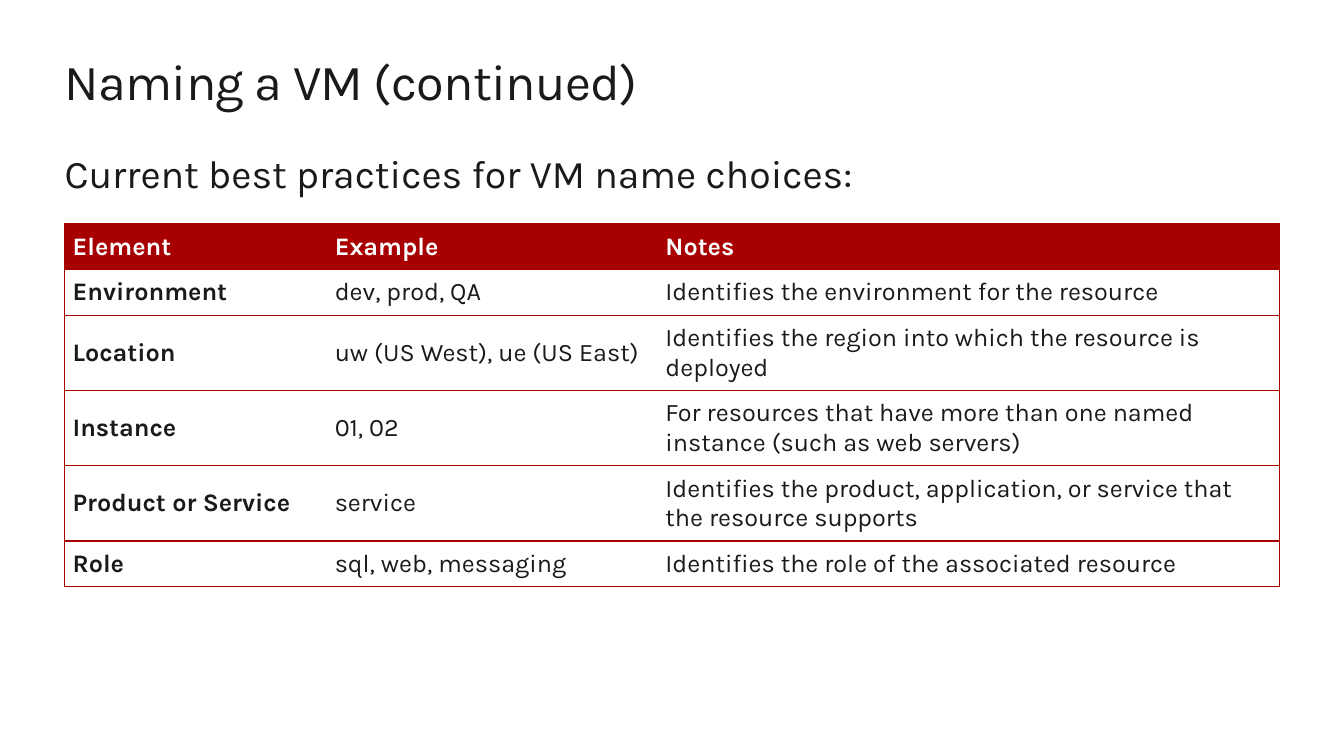
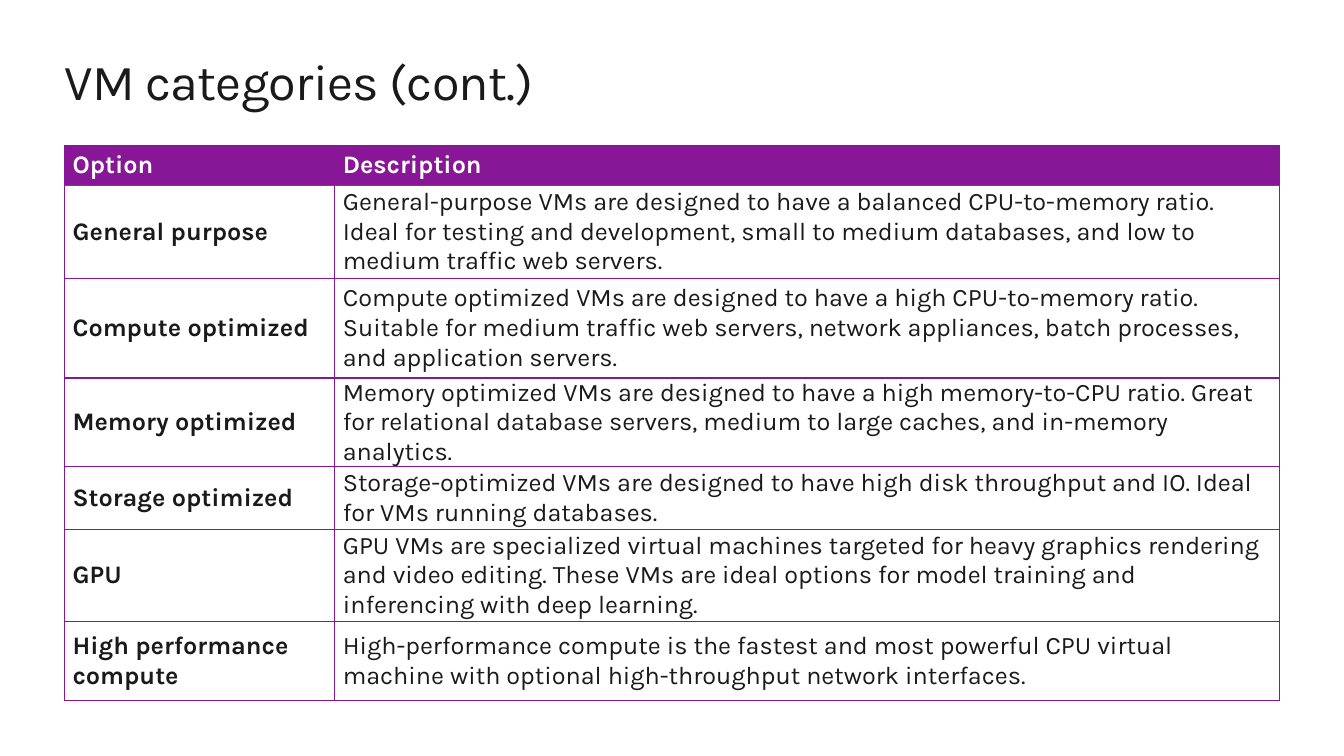
from lxml.etree import SubElement
from pptx import Presentation
from pptx.dml.color import RGBColor
from pptx.enum.text import MSO_ANCHOR, MSO_AUTO_SIZE, PP_ALIGN
from pptx.oxml.ns import qn
from pptx.util import Inches, Pt

FONT = "Karla"
INK = "1A1A1A"
WHITE = "FFFFFF"
RED = "A80000"
PURPLE = "881798"
TEAL = "008272"
LEFT, WIDTH = 0.64, 12.05

NAMING_ROWS = [
    ("Element", "Example", "Notes"),
    ("Environment", "dev, prod, QA", "Identifies the environment for the resource"),
    ("Location", "uw (US West), ue (US East)",
     "Identifies the region into which the resource is deployed"),
    ("Instance", "01, 02",
     "For resources that have more than one named instance (such as web servers)"),
    ("Product or Service", "service",
     "Identifies the product, application, or service that the resource supports"),
    ("Role", "sql, web, messaging", "Identifies the role of the associated resource"),
]

CATEGORY_ROWS = [
    ("Option", "Description"),
    ("General purpose",
     "General-purpose VMs are designed to have a balanced CPU-to-memory ratio. "
     "Ideal for testing and development, small to medium databases, and low to "
     "medium traffic web servers."),
    ("Compute optimized",
     "Compute optimized VMs are designed to have a high CPU-to-memory ratio. "
     "Suitable for medium traffic web servers, network appliances, batch processes, "
     "and application servers."),
    ("Memory optimized",
     "Memory optimized VMs are designed to have a high memory-to-CPU ratio. Great "
     "for relational database servers, medium to large caches, and in-memory analytics."),
    ("Storage optimized",
     "Storage-optimized VMs are designed to have high disk throughput and IO. "
     "Ideal for VMs running databases."),
    ("GPU",
     "GPU VMs are specialized virtual machines targeted for heavy graphics rendering "
     "and video editing. These VMs are ideal options for model training and "
     "inferencing with deep learning."),
    ("High performance compute",
     "High-performance compute is the fastest and most powerful CPU virtual machine "
     "with optional high-throughput network interfaces."),
]


def color(value):
    return RGBColor.from_string(value)


def write(frame, text, size=18, ink=INK, bold=False, spacing=None):
    para = frame.paragraphs[0]
    para.alignment = PP_ALIGN.LEFT
    span = para.add_run()
    span.text = text
    span.font.name = FONT
    span.font.size = Pt(size)
    span.font.bold = bold
    span.font.color.rgb = color(ink)
    if spacing is not None:
        span._r.get_or_add_rPr().set("spc", str(int(spacing * 100)))


def fit_frame(box):
    frame = box.text_frame
    frame.margin_left = frame.margin_right = 0
    frame.margin_top = frame.margin_bottom = 0
    frame.word_wrap = True
    frame.auto_size = MSO_AUTO_SIZE.NONE
    frame.vertical_anchor = MSO_ANCHOR.TOP
    return frame


def add_page(deck, title):
    page = deck.slides.add_slide(deck.slide_layouts[5])
    box = page.shapes.title
    box.left, box.top = Inches(LEFT), Inches(0.5)
    box.width, box.height = Inches(WIDTH), Inches(0.61)
    write(fit_frame(box), title, size=36, spacing=-0.5)
    return page


def add_lead(page, text):
    box = page.shapes.add_textbox(Inches(LEFT), Inches(1.48), Inches(WIDTH), Inches(0.47))
    write(fit_frame(box), text, size=28)


def set_border(cell, side, value):
    line = SubElement(cell._tc.get_or_add_tcPr(), qn(f"a:ln{side}"), w=str(Pt(1)))
    if value is None:
        SubElement(line, qn("a:noFill"))
    else:
        fill = SubElement(line, qn("a:solidFill"))
        SubElement(fill, qn("a:srgbClr"), val=value)


def add_grid(page, rows, top, widths, heights, accent, header_rule, margin, inner_lines):
    last = len(widths) - 1
    table = page.shapes.add_table(
        len(rows), len(widths), Inches(LEFT), Inches(top),
        Inches(sum(widths)), Inches(sum(heights))).table
    table.horz_banding = False
    for column, width in zip(table.columns, widths):
        column.width = Inches(width)
    for row, height in zip(table.rows, heights):
        row.height = Inches(height)
    for r, texts in enumerate(rows):
        header = r == 0
        inner = accent if inner_lines and not header else None
        for c, text in enumerate(texts):
            cell = table.cell(r, c)
            set_border(cell, "L", accent if c == 0 else inner)
            set_border(cell, "R", accent if c == last else inner)
            set_border(cell, "T", header_rule if r == 1 else accent)
            set_border(cell, "B", header_rule if header else accent)
            cell.fill.solid()
            cell.fill.fore_color.rgb = color(accent if header else WHITE)
            cell.margin_left = cell.margin_right = Inches(0.08)
            cell.margin_top = cell.margin_bottom = Inches(margin)
            cell.vertical_anchor = MSO_ANCHOR.MIDDLE
            write(cell.text_frame, text, ink=WHITE if header else INK,
                  bold=header or c == 0)


def main():
    deck = Presentation()
    deck.slide_width, deck.slide_height = Inches(13.33), Inches(7.5)

    page = add_page(deck, "Naming a VM (continued)")
    add_lead(page, "Current best practices for VM name choices:")
    add_grid(page, NAMING_ROWS, top=2.22, widths=[2.6, 3.28, 6.17],
             heights=[0.45, 0.45, 0.74, 0.74, 0.74, 0.45],
             accent=RED, header_rule=RED, margin=0.08, inner_lines=False)

    page = add_page(deck, "VM categories (cont.)")
    add_grid(page, CATEGORY_ROWS, top=1.44, widths=[2.68, 9.37],
             heights=[0.4, 0.92, 0.99, 0.88, 0.62, 0.92, 0.78],
             accent=PURPLE, header_rule=TEAL, margin=0, inner_lines=True)

    deck.save("out.pptx")


if __name__ == "__main__":
    main()
